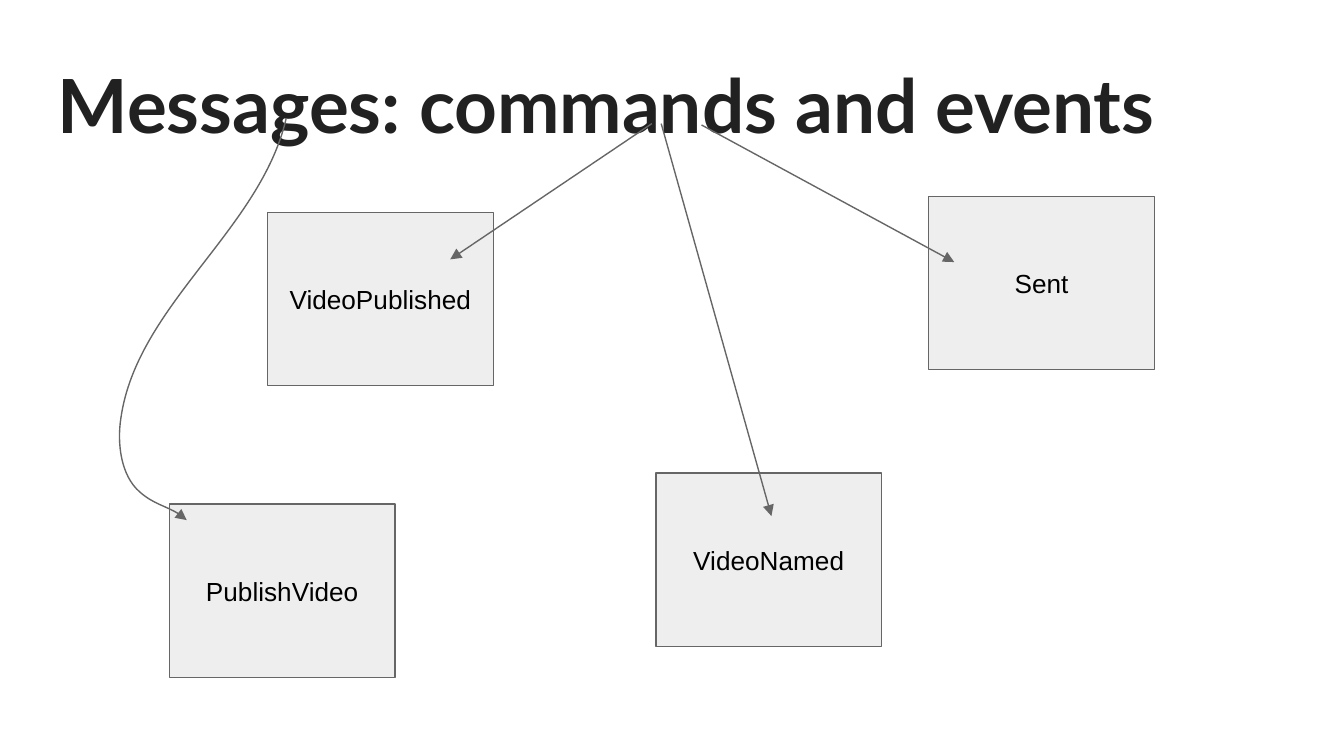
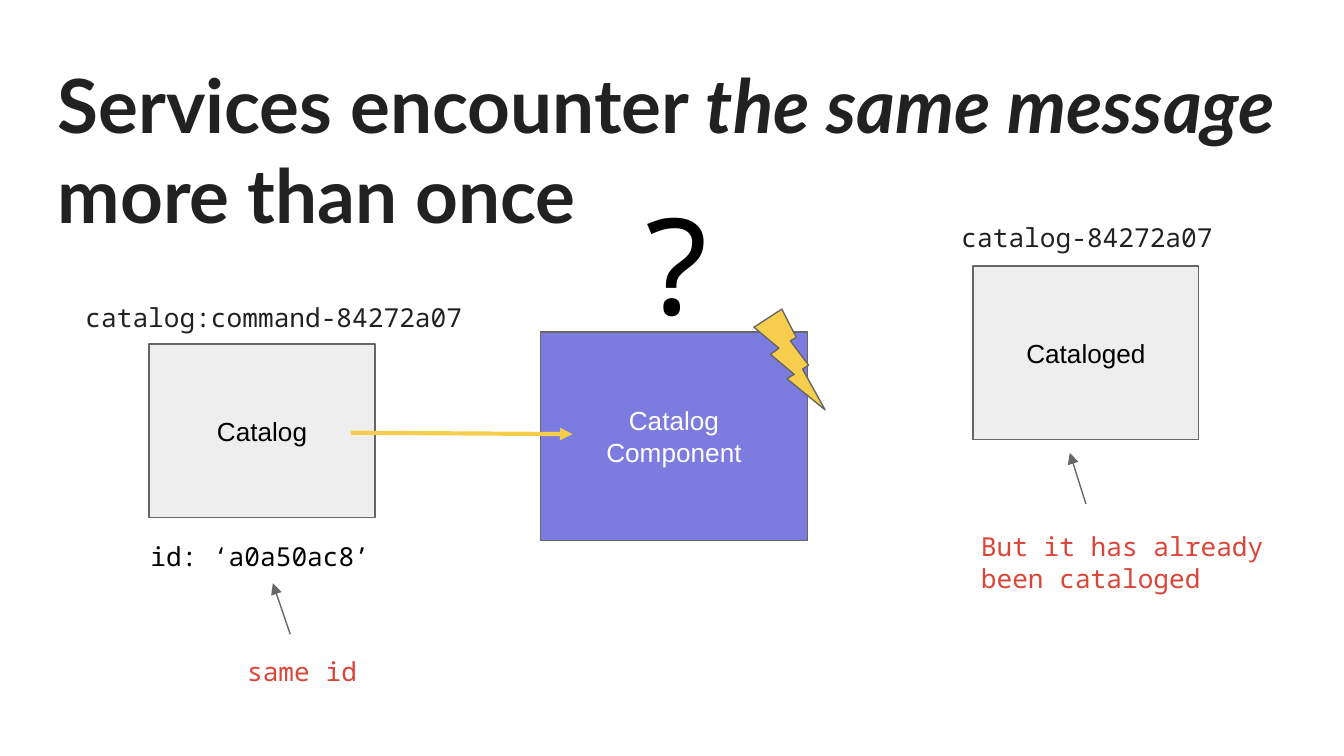
from lxml import etree
from pptx import Presentation
from pptx.dml.color import RGBColor
from pptx.enum.shapes import MSO_CONNECTOR, MSO_SHAPE
from pptx.enum.text import MSO_ANCHOR, MSO_AUTO_SIZE, PP_ALIGN
from pptx.oxml.ns import qn
from pptx.util import Inches, Pt

WHITE = RGBColor(0xFF, 0xFF, 0xFF)
BLACK = RGBColor(0x00, 0x00, 0x00)
INK = RGBColor(0x21, 0x21, 0x21)
GRAY = RGBColor(0x66, 0x66, 0x66)
LIGHT = RGBColor(0xEE, 0xEE, 0xEE)
PURPLE = RGBColor(0x7C, 0x7C, 0xE0)
YELLOW = RGBColor(0xF6, 0xCD, 0x4C)
RED = RGBColor(0xDB, 0x44, 0x37)

TITLE_FONT, BOX_FONT, MONO_FONT = "Lato", "Arial", "Noto Sans Mono"
SLIDE_WIDTH = 10
SLIDE_HEIGHT = SLIDE_WIDTH * 9 / 16
MESSAGE_SIZE = (1.68, 1.29)


def style_frame(tf, anchor):
    tf.word_wrap = True
    tf.auto_size = MSO_AUTO_SIZE.NONE
    tf.vertical_anchor = anchor
    tf.margin_left = tf.margin_right = Inches(0.1)
    tf.margin_top = tf.margin_bottom = Inches(0.1)


def style_run(r, font, size, color):
    r.font.name = font
    r.font.size = Pt(size)
    r.font.color.rgb = color


def style_text(tf, font, size, color, align):
    for p in tf.paragraphs:
        p.alignment = align
        for r in p.runs:
            style_run(r, font, size, color)


def add_titled_slide(prs, *parts):
    """Add a slide; every second part of its title is italic."""
    slide = prs.slides.add_slide(prs.slide_layouts[5])
    title = slide.shapes.title
    title.left, title.top = Inches(0.33), Inches(0.34)
    title.width, title.height = Inches(9.34), Inches(0.82)
    tf = title.text_frame
    style_frame(tf, MSO_ANCHOR.TOP)
    p = tf.paragraphs[0]
    p.alignment = PP_ALIGN.LEFT
    for i, part in enumerate(parts):
        r = p.add_run()
        r.text = part
        style_run(r, TITLE_FONT, 40, INK)
        r.font.bold = True
        r.font.italic = i % 2 == 1
    return slide


def add_filled(slide, kind, x, y, w, h, fill):
    sp = slide.shapes.add_shape(kind, Inches(x), Inches(y), Inches(w), Inches(h))
    sp.shadow.inherit = False
    sp.fill.solid()
    sp.fill.fore_color.rgb = fill
    sp.line.color.rgb = GRAY
    sp.line.width = Pt(0.75)
    return sp


def add_box(slide, text, x, y, size=MESSAGE_SIZE, fill=LIGHT, color=BLACK):
    sp = add_filled(slide, MSO_SHAPE.RECTANGLE, x, y, *size, fill)
    tf = sp.text_frame
    style_frame(tf, MSO_ANCHOR.MIDDLE)
    tf.text = text
    style_text(tf, BOX_FONT, 14, color, PP_ALIGN.CENTER)


def add_label(slide, text, x, y, w, h, color, align=PP_ALIGN.LEFT,
              size=14, anchor=MSO_ANCHOR.TOP):
    tf = slide.shapes.add_textbox(
        Inches(x), Inches(y), Inches(w), Inches(h)).text_frame
    style_frame(tf, anchor)
    tf.text = text
    style_text(tf, MONO_FONT, size, color, align)


def style_arrow(sp, color, width):
    sp.line.color.rgb = color
    sp.line.width = Pt(width)
    ln = sp.line._get_or_add_ln()
    etree.SubElement(ln, qn("a:tailEnd"), type="triangle")


def add_arrow(slide, start, end, color=GRAY, width=0.75):
    ends = [Inches(v) for v in (*start, *end)]
    line = slide.shapes.add_connector(MSO_CONNECTOR.STRAIGHT, *ends)
    style_arrow(line, color, width)
    etree.SubElement(line._element.spPr, qn("a:effectLst"))


def add_curved_arrow(slide, start, points):
    """Draw cubic curves; each takes three points: two controls and an end."""
    builder = slide.shapes.build_freeform(Inches(start[0]), Inches(start[1]))
    builder.add_line_segments(
        [(Inches(x), Inches(y)) for x, y in points], close=False)
    sp = builder.convert_to_shape()
    sp.shadow.inherit = False
    sp.fill.background()
    style_arrow(sp, GRAY, 0.75)
    segments = list(sp._element.iter(qn("a:lnTo")))
    outline = segments[0].getparent()
    for i in range(0, len(segments), 3):
        curve = etree.SubElement(outline, qn("a:cubicBezTo"))
        for segment in segments[i:i + 3]:
            curve.append(segment[0])
            outline.remove(segment)


def build_messages(prs):
    slide = add_titled_slide(prs, "Messages: commands and events")
    for name, x, y in [("VideoPublished", 1.99, 1.58), ("VideoNamed", 4.88, 3.52),
                       ("Sent", 6.91, 1.46), ("PublishVideo", 1.26, 3.75)]:
        add_box(slide, name, x, y)
    for start, end in [((4.85, 0.92), (3.35, 1.93)), ((5.22, 0.93), (7.1, 1.95)),
                       ((4.92, 0.92), (5.74, 3.84))]:
        add_arrow(slide, start, end)
    add_curved_arrow(slide, (2.13, 0.88), [
        (1.94, 1.71), (1.02, 2.27), (0.9, 3.11),
        (0.87, 3.3), (0.9, 3.54), (1.04, 3.66),
        (1.14, 3.75), (1.3, 3.78), (1.39, 3.87)])


def build_same_message(prs):
    slide = add_titled_slide(
        prs, "Services encounter ", "the same message", " more than once")
    add_box(slide, "Catalog", 1.11, 2.56)
    add_box(slide, "Catalog\nComponent", 4.02, 2.47, (1.99, 1.55), PURPLE, WHITE)
    add_filled(slide, MSO_SHAPE.LIGHTNING_BOLT, 5.61, 2.3, 0.53, 0.75, YELLOW)
    add_arrow(slide, (2.61, 3.22), (4.26, 3.23), YELLOW, 2.25)
    add_box(slide, "Cataloged", 7.24, 1.98)

    add_label(slide, "id: ‘a0a50ac8’", 1.02, 3.92, 1.85, 0.29, BLACK)
    add_label(slide, "?", 4.08, 0.97, 1.9, 1.96, BLACK, PP_ALIGN.CENTER,
              72, MSO_ANCHOR.MIDDLE)
    for stream, x, y, w in [("catalog:command-84272a07", 0.24, 2.14, 3.6),
                            ("catalog-84272a07", 6.62, 1.55, 2.94)]:
        add_label(slide, stream, x, y, w, 0.36, INK, PP_ALIGN.CENTER)
    for remark, x, y in [("But it has already been cataloged", 7.2, 3.85),
                         ("same id", 1.74, 4.78)]:
        add_label(slide, remark, x, y, 2.55, 0.53, RED)
    add_arrow(slide, (2.16, 4.72), (2.03, 4.34))
    add_arrow(slide, (8.08, 3.75), (7.96, 3.37))


def main():
    prs = Presentation()
    prs.slide_width, prs.slide_height = Inches(SLIDE_WIDTH), Inches(SLIDE_HEIGHT)
    build_messages(prs)
    build_same_message(prs)
    prs.save("out.pptx")


if __name__ == "__main__":
    main()
